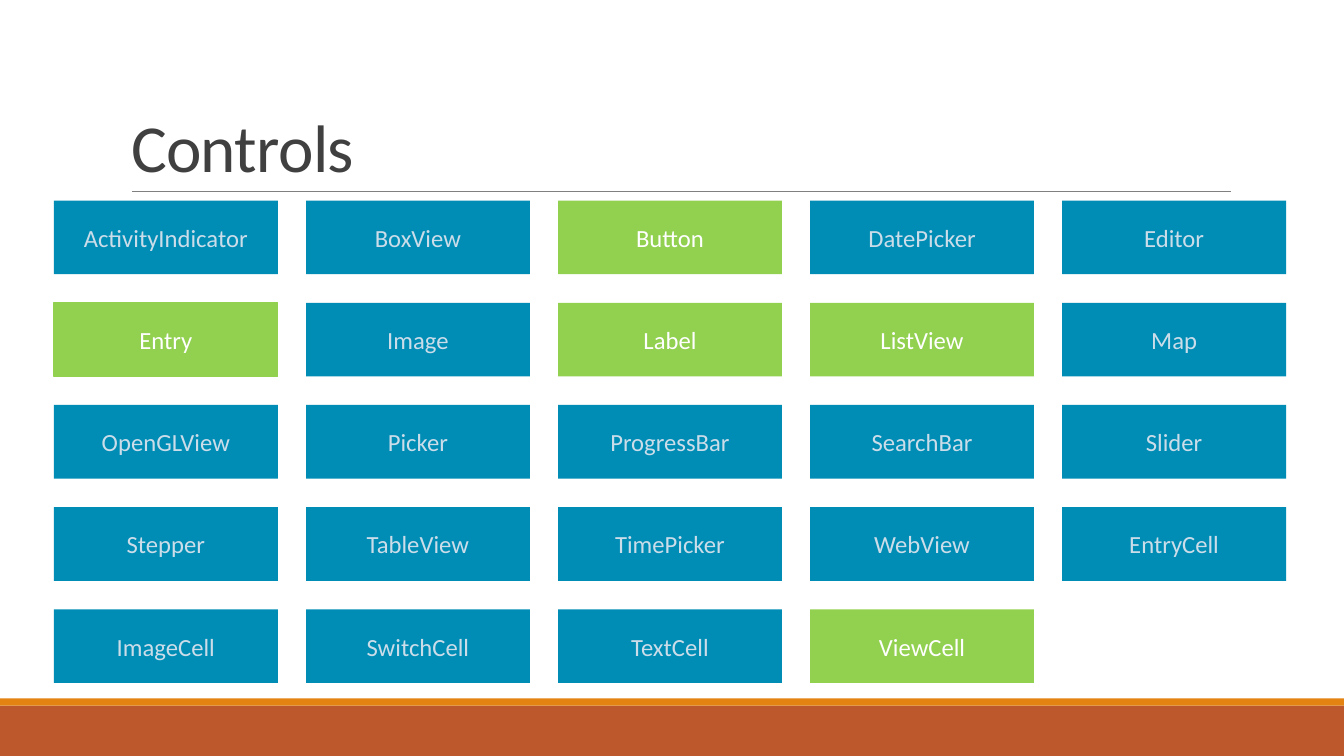
"""Build the Controls slide: a titled grid of control names with some highlighted."""
from pptx import Presentation
from pptx.dml.color import RGBColor
from pptx.enum.shapes import MSO_CONNECTOR, MSO_SHAPE
from pptx.enum.text import MSO_ANCHOR, MSO_AUTO_SIZE, PP_ALIGN
from pptx.oxml.ns import qn
from pptx.util import Inches, Pt
from lxml import etree

RECT, ROUND = MSO_SHAPE.RECTANGLE, MSO_SHAPE.ROUNDED_RECTANGLE
LINE = MSO_CONNECTOR.STRAIGHT
LEFT, CENTER = PP_ALIGN.LEFT, PP_ALIGN.CENTER
MIDDLE, BOTTOM = MSO_ANCHOR.MIDDLE, MSO_ANCHOR.BOTTOM
FIXED = MSO_AUTO_SIZE.NONE

BLUE = RGBColor(0x00, 0x8D, 0xB5)
GREEN = RGBColor(0x92, 0xD0, 0x50)
PALE = RGBColor(0xCC, 0xDD, 0xEA)
WHITE = RGBColor(0xFF, 0xFF, 0xFF)
DARK = RGBColor(0x40, 0x40, 0x40)
GRAY = RGBColor(0x80, 0x80, 0x80)
RUST = RGBColor(0xBD, 0x58, 0x2C)
ORANGE = RGBColor(0xE4, 0x83, 0x12)


def write(shape, text, size, color, align=CENTER, anchor=MIDDLE, space=1.0, track=0):
    """Put one formatted line of text into a shape."""
    frame = shape.text_frame
    frame.word_wrap = True
    frame.auto_size = FIXED
    frame.vertical_anchor = anchor
    para = frame.paragraphs[0]
    para.alignment = align
    para.line_spacing = space
    run = para.add_run()
    run.text = text
    run.font.name = "Calibri"
    run.font.size = Pt(size)
    run.font.color.rgb = color
    if track:
        run._r.get_or_add_rPr().set("spc", str(track))


def block(kind, left, top, width, height, fill):
    """Add a flat filled shape, measured in inches."""
    shape = slide.shapes.add_shape(
        kind, Inches(left), Inches(top), Inches(width), Inches(height))
    shape.shadow.inherit = False
    shape.fill.solid()
    shape.fill.fore_color.rgb = fill
    shape.line.fill.background()
    return shape


deck = Presentation()
WIDE, HIGH = 13.33, 7.5
deck.slide_width, deck.slide_height = Inches(WIDE), Inches(HIGH)
slide = deck.slides.add_slide(deck.slide_layouts[5])

block(RECT, 0, 7, WIDE, 0.5, RUST)
block(RECT, 0, 6.93, WIDE, 0.07, ORANGE)

rule = slide.shapes.add_connector(
    LINE, Inches(1.31), Inches(1.9), Inches(12.21), Inches(1.9))
rule.line.color.rgb = GRAY
rule.line.width = Pt(0.5)
etree.SubElement(rule._element.spPr, qn("a:effectLst"))

title = slide.shapes.title
title.left, title.top = Inches(1.2), Inches(0.31)
title.width, title.height = Inches(11), Inches(1.59)
write(title, "Controls", 48, DARK, align=LEFT, anchor=BOTTOM, space=0.85, track=-50)

ROWS = [
    ["ActivityIndicator", "BoxView", "Button", "DatePicker", "Editor"],
    ["Entry", "Image", "Label", "ListView", "Map"],
    ["OpenGLView", "Picker", "ProgressBar", "SearchBar", "Slider"],
    ["Stepper", "TableView", "TimePicker", "WebView", "EntryCell"],
    ["ImageCell", "SwitchCell", "TextCell", "ViewCell"],
]
MARKED = {"Button", "Entry", "Label", "ListView", "ViewCell"}
X, Y, STEP, DROP = 0.535, 1.99, 2.5, 1.014

for row, names in enumerate(ROWS):
    for col, name in enumerate(names):
        lit = name in MARKED
        tile = block(ROUND, X + col * STEP, Y + row * DROP, 2.22, 0.73,
                     GREEN if lit else BLUE)
        tile.adjustments[0] = 0
        if name == "Entry":
            tile.line.color.rgb = GREEN
            tile.line.width = Pt(1)
        write(tile, name, 17.6, WHITE if lit else PALE)

deck.save("out.pptx")
